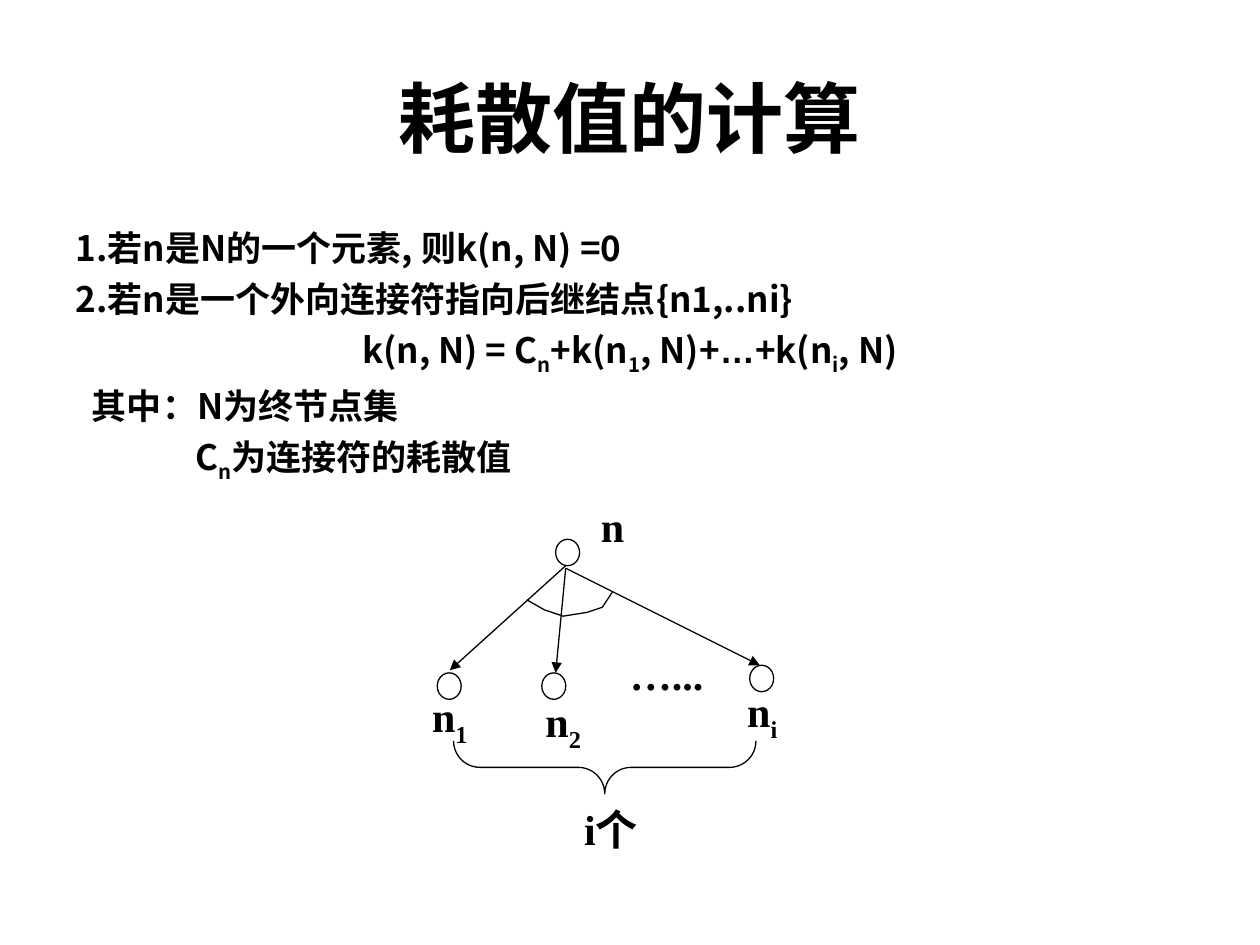
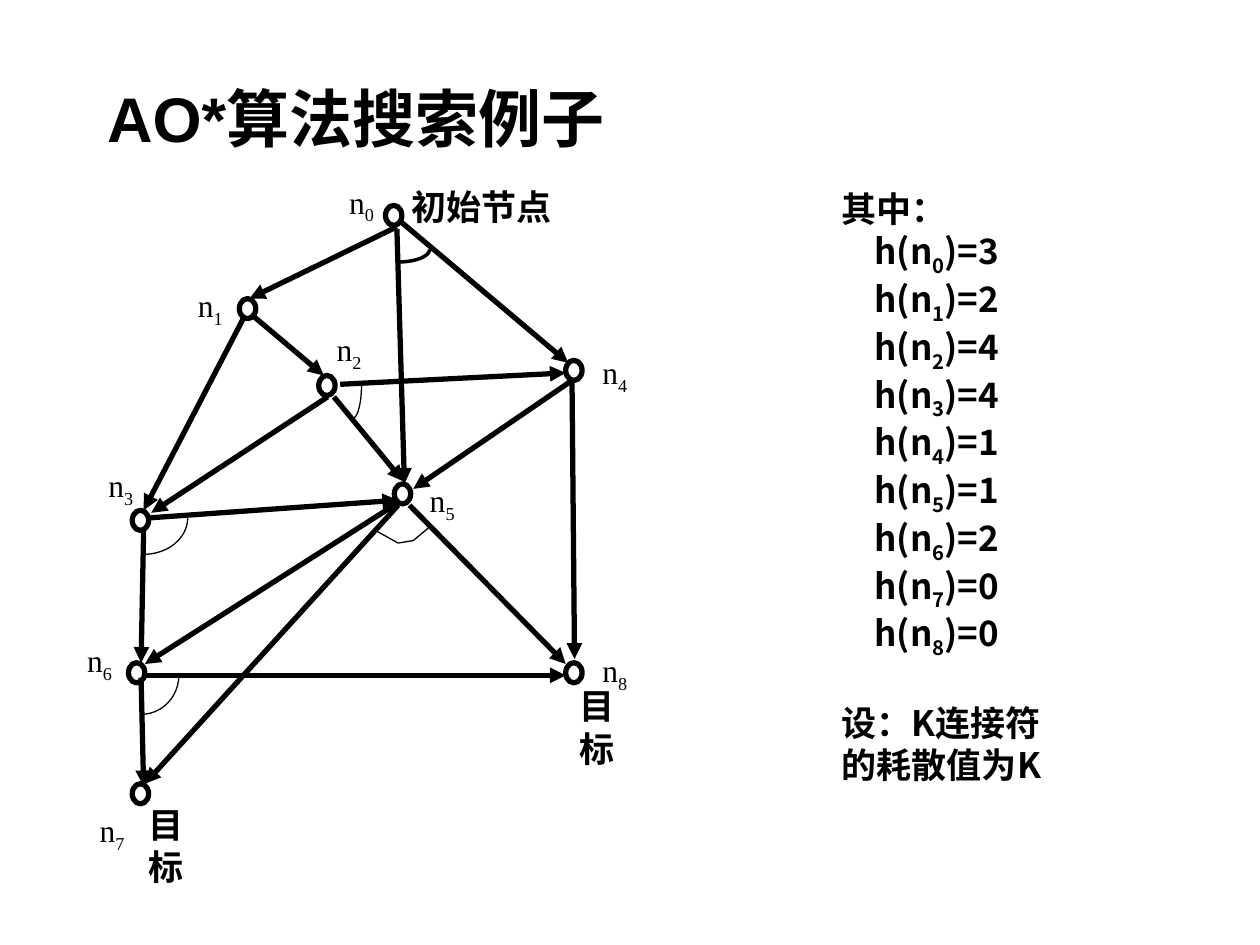
from math import cos, pi, sin

from lxml.etree import SubElement
from pptx import Presentation
from pptx.dml.color import RGBColor
from pptx.enum.shapes import MSO_CONNECTOR, MSO_SHAPE
from pptx.enum.text import MSO_ANCHOR, MSO_AUTO_SIZE, PP_ALIGN
from pptx.oxml.ns import qn
from pptx.util import Inches, Pt

BLACK = RGBColor(0, 0, 0)
TITLE_FONT, LABEL_FONT, CJK_FONT = "Arial", "Times New Roman", "Noto Sans CJK SC"
LEFT, CENTER = PP_ALIGN.LEFT, PP_ALIGN.CENTER
THIN, MEDIUM, THICK = 0.75, 2, 3

# In all texts "_" lowers the character that follows it.
# Body lines: text, alignment, indent (inches), space before (points)
COST_RULES = [
    ("1.若n是N的一个元素, 则k(n, N) =0", LEFT, 0, 0),
    ("2.若n是一个外向连接符指向后继结点{n1,..ni}", LEFT, 0, 5),
    ("k(n, N) = C_n+k(n_1, N)+…+k(n_i, N)", CENTER, 0, 5),
    ("其中：N为终节点集", LEFT, 0.13, 5),
    ("C_n为连接符的耗散值", LEFT, 0.95, 5),
]
HEURISTICS = [3, 2, 4, 4, 1, 1, 2, 0, 0]
HEURISTIC_LINES = [
    ("其中：", LEFT, 0, 0),
    *((f"h(n_{i})={h}", LEFT, 0.26, 0) for i, h in enumerate(HEURISTICS)),
    ("设：K连接符", LEFT, 0, 24),
    ("的耗散值为K", LEFT, 0, 0),
]

# Connector tree: left and top of the nodes, then arrows from and to
TREE_NODE_SIZE = (0.19, 0.21)
TREE_NODES = [(4.41, 4.28), (3.47, 5.34), (4.3, 5.34), (5.95, 5.28)]
TREE_ARROWS = [
    (4.49, 4.49, 3.57, 5.32),
    (4.49, 4.51, 4.41, 5.34),
    (4.49, 4.51, 6.03, 5.28),
]
TREE_LINK = [(4.18, 4.76), (4.32, 4.84), (4.47, 4.89),
             (4.66, 4.86), (4.78, 4.82), (4.86, 4.7)]
TREE_BRACE = (4.59, 4.89, 0.42, 2.4)
TREE_LABELS = [
    ("…...", (4.9, 5.1, 0.78, 0.5)),
    ("i个", (4.5, 6.33, 0.7, 0.5)),
    ("n", (4.67, 3.92, 0.38, 0.5)),
    ("n_1", (3.33, 5.43, 0.48, 0.56)),
    ("n_2", (4.23, 5.47, 0.48, 0.56)),
    ("n_i", (5.83, 5.39, 0.44, 0.56)),
]

# Search graph n0 to n8: place of each node and of its label
GRAPH_NODE_SIZE = (0.13, 0.16)
GRAPH_LABEL_SIZE = (0.4, 0.44)
GRAPH_NODES = [
    ((3.06, 1.63), (2.67, 1.4)),
    ((1.9, 2.37), (1.47, 2.22)),
    ((2.53, 2.98), (2.57, 2.57)),
    ((1.05, 4.05), (0.76, 3.65)),
    ((4.49, 2.86), (4.68, 2.75)),
    ((3.13, 3.84), (3.31, 3.77)),
    ((1.02, 5.26), (0.59, 5.04)),
    ((1.05, 6.22), (0.69, 6.39)),
    ((4.49, 5.26), (4.68, 5.12)),
]
GRAPH_ARROWS = [
    (3.15, 1.8, 1.98, 2.37),
    (3.15, 1.82, 3.21, 3.84),
    (3.17, 1.75, 4.51, 2.88),
    (1.93, 2.53, 1.14, 4.05),
    (2, 2.5, 2.57, 2.98),
    (2.65, 3.15, 3.2, 3.82),
    (2.7, 3.05, 4.49, 2.96),
    (2.6, 3.15, 1.2, 4.07),
    (1.19, 4.11, 3.16, 3.97),
    (1.14, 4.21, 1.12, 5.26),
    (4.54, 3.02, 3.28, 3.88),
    (4.54, 3.02, 4.56, 5.23),
    (3.16, 3.99, 1.15, 5.27),
    (3.16, 4.01, 1.15, 6.22),
    (3.25, 4.01, 4.49, 5.27),
    (1.15, 5.36, 4.49, 5.36),
    (1.12, 5.38, 1.14, 6.24),
]
GRAPH_ARCS = [
    ((3.16, 1.98, 0.25, 0.1), MEDIUM),
    ((2.8, 3.05, 0.07, 0.27), THIN),
    ((1.14, 4.11, 0.35, 0.29), THIN),
    ((1.12, 5.36, 0.3, 0.31), THIN),
]
GRAPH_LINK = [(2.98, 4.21), (3.16, 4.31), (3.28, 4.29), (3.4, 4.19)]
GRAPH_NOTES = [
    ("目标", (0.94, 6.49, 0.75, 0.44)),
    ("目标", (4.36, 5.55, 0.75, 0.44)),
    ("初始节点", (3.17, 1.42, 1.31, 0.44)),
]


def inches(values):
    return [Inches(value) for value in values]


def write(paragraph, text, font_name, size, bold=True, align=CENTER):
    """Fill a paragraph, lowering each character that follows "_"."""
    paragraph.alignment = align
    font = paragraph.font
    font.name, font.size, font.bold = font_name, Pt(size), bold
    font.color.rgb = BLACK
    SubElement(font._element, qn("a:ea")).set("typeface", CJK_FONT)
    start, *lowered = text.split("_")
    pieces = [(start, False)]
    for part in lowered:
        pieces += [(part[0], True), (part[1:], False)]
    for piece, is_sub in pieces:
        for words in piece.partition("…"):
            if not words:
                continue
            run = paragraph.add_run()
            run.text = words
            if is_sub:
                run.font._element.set("baseline", "-25000")
            if words == "…" and font_name == CJK_FONT:
                run.font.name = TITLE_FONT


def place(placeholder, box, anchor):
    placeholder.left, placeholder.top, placeholder.width, placeholder.height = inches(box)
    frame = placeholder.text_frame
    frame.auto_size = MSO_AUTO_SIZE.NONE
    frame.vertical_anchor = anchor
    return frame


def add_title(slide, text, box, size, align):
    frame = place(slide.shapes.title, box, MSO_ANCHOR.MIDDLE)
    write(frame.paragraphs[0], text, TITLE_FONT, size, align=align)


def add_body(slide, lines, box):
    frame = place(slide.placeholders[1], box, MSO_ANCHOR.TOP)
    for index, (text, align, indent, space) in enumerate(lines):
        paragraph = frame.add_paragraph() if index else frame.paragraphs[0]
        paragraph.space_before = Pt(space)
        properties = paragraph._p.get_or_add_pPr()
        properties.set("marL", str(Inches(indent)))
        properties.set("indent", "0")
        SubElement(properties, qn("a:buNone"))
        write(paragraph, text, CJK_FONT, 20, align=align)


def add_label(slide, text, box, size, bold=True):
    frame = slide.shapes.add_textbox(*inches(box)).text_frame
    frame.word_wrap = False
    frame.vertical_anchor = MSO_ANCHOR.MIDDLE
    write(frame.paragraphs[0], text, LABEL_FONT, size, bold)


def outline(shape, weight):
    shape.shadow.inherit = False
    shape.fill.background()
    shape.line.color.rgb = BLACK
    shape.line.width = Pt(weight)


def add_node(slide, corner, size, weight):
    outline(slide.shapes.add_shape(MSO_SHAPE.OVAL, *inches(corner + size)), weight)


def add_arrow(slide, ends, weight):
    arrow = slide.shapes.add_connector(MSO_CONNECTOR.STRAIGHT, *inches(ends))
    arrow.line.color.rgb = BLACK
    arrow.line.width = Pt(weight)
    properties = arrow._element.spPr
    SubElement(properties.find(qn("a:ln")), qn("a:tailEnd")).set("type", "triangle")
    SubElement(properties, qn("a:effectLst"))


def add_link(slide, points, weight):
    start, *rest = [inches(point) for point in points]
    builder = slide.shapes.build_freeform(*start)
    builder.add_line_segments(rest, close=False)
    outline(builder.convert_to_shape(), weight)


def quarter_arc(left, top, width, height, steps=12):
    """Points of the lower right quarter of an ellipse centred at left, top."""
    angles = [pi / 2 * step / steps for step in range(steps + 1)]
    return [(left + width * sin(a), top + height * cos(a)) for a in angles]


def build_cost_slide(slide):
    add_title(slide, "耗散值的计算", (0.5, 0.3, 9, 1.25), 44, CENTER)
    add_body(slide, COST_RULES, (0.5, 1.75, 9, 4.95))
    for corner in TREE_NODES:
        add_node(slide, corner, TREE_NODE_SIZE, THIN)
    for ends in TREE_ARROWS:
        add_arrow(slide, ends, THIN)
    add_link(slide, TREE_LINK, THIN)
    brace = slide.shapes.add_shape(MSO_SHAPE.LEFT_BRACE, *inches(TREE_BRACE))
    brace.adjustments[0] = 0.5
    brace.rotation = 270
    outline(brace, THIN)
    for text, box in TREE_LABELS:
        add_label(slide, text, box, 24)


def build_search_slide(slide):
    add_title(slide, "AO*算法搜索例子", (0.75, 0.48, 8.5, 0.9), 36, LEFT)
    add_body(slide, HEURISTIC_LINES, (6.58, 1.44, 2.82, 5))
    for index, (corner, label_corner) in enumerate(GRAPH_NODES):
        add_node(slide, corner, GRAPH_NODE_SIZE, THICK)
        add_label(slide, f"n_{index}", label_corner + GRAPH_LABEL_SIZE, 18, bold=False)
    for ends in GRAPH_ARROWS:
        add_arrow(slide, ends, THICK)
    for box, weight in GRAPH_ARCS:
        add_link(slide, quarter_arc(*box), weight)
    add_link(slide, GRAPH_LINK, THIN)
    for text, box in GRAPH_NOTES:
        add_label(slide, text, box, 20)


def main():
    deck = Presentation()
    deck.slide_width, deck.slide_height = Inches(10), Inches(7.5)
    for build in (build_cost_slide, build_search_slide):
        build(deck.slides.add_slide(deck.slide_layouts[1]))
    deck.save("out.pptx")


if __name__ == "__main__":
    main()
